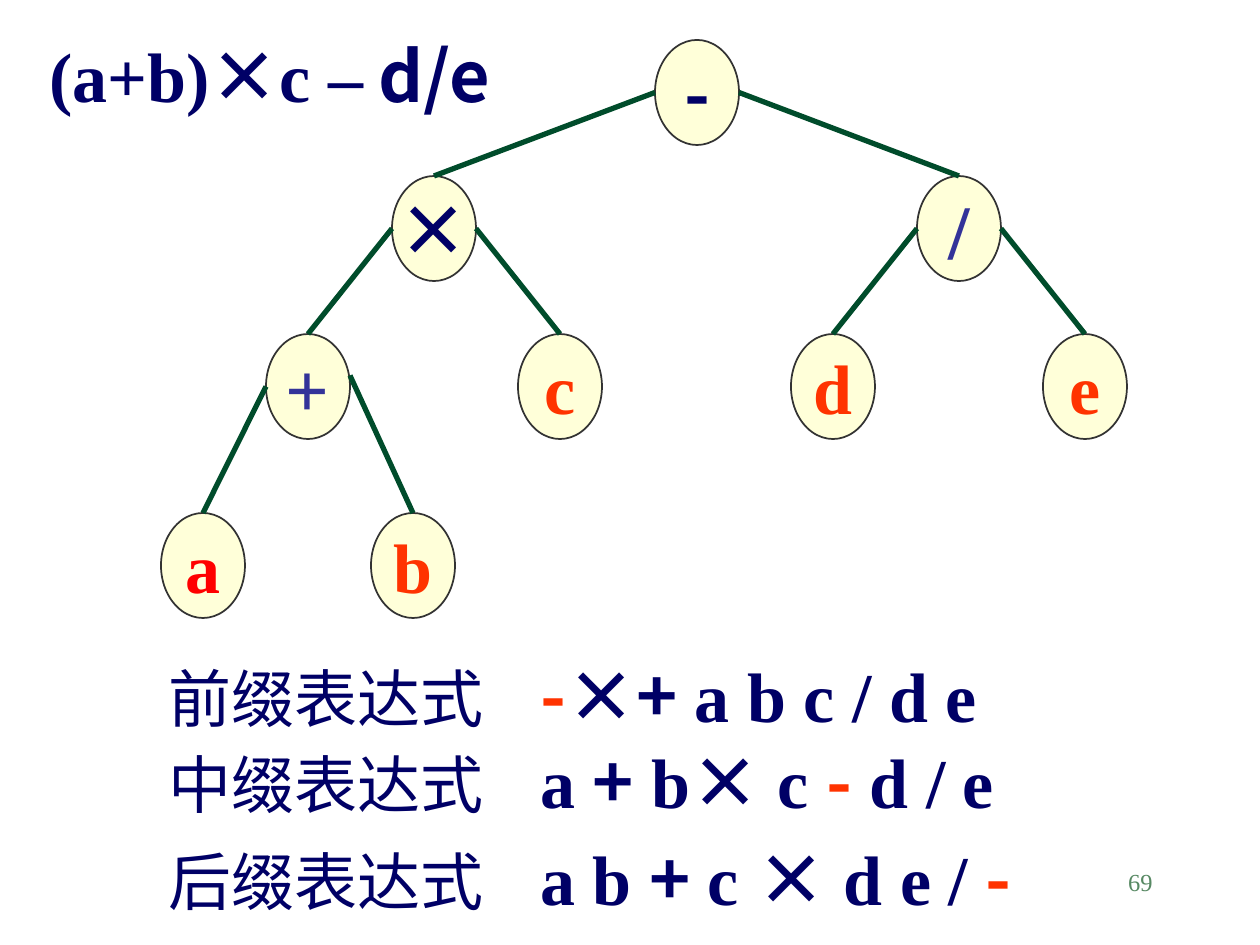
from lxml import etree
from pptx import Presentation
from pptx.dml.color import RGBColor
from pptx.enum.shapes import MSO_CONNECTOR, MSO_SHAPE
from pptx.enum.text import MSO_ANCHOR, MSO_AUTO_SIZE, PP_ALIGN
from pptx.oxml.ns import qn
from pptx.util import Pt

PX = 914400 // 126
OVAL = MSO_SHAPE.OVAL
STRAIGHT = MSO_CONNECTOR.STRAIGHT
MIDDLE = MSO_ANCHOR.MIDDLE
LEFT, CENTER, RIGHT = PP_ALIGN.LEFT, PP_ALIGN.CENTER, PP_ALIGN.RIGHT
FIT = MSO_AUTO_SIZE.SHAPE_TO_FIT_TEXT

SERIF, SANS = "Times New Roman", "Noto Sans CJK SC"
COLORS = {"navy": "000066", "indigo": "333399", "orange": "FF3300", "red": "FF0000",
          "cream": "FFFFD9", "outline": "333333", "branch": "004C2B", "number": "578963"}

# Text styles: font, size, bold, colour
STYLES = {
    "label": (SERIF, 36, False, "navy"),
    "serif": (SERIF, 40, True, "navy"),
    "sans": (SANS, 40, True, "navy"),
    "minus": (SANS, 40, True, "orange"),
    "leaf": (SERIF, 40, True, "orange"),
    "first leaf": (SERIF, 40, True, "red"),
    "operator": (SERIF, 44, True, "indigo"),
    "number": (SERIF, 14, False, "number"),
}

# Tree nodes: symbol -> left, top, style
NODE_WIDTH, NODE_HEIGHT = 84, 105
NODES = {
    "a": (161, 513, "first leaf"), "b": (371, 513, "leaf"),
    "c": (518, 334, "leaf"), "d": (791, 334, "leaf"), "e": (1043, 334, "leaf"),
    "-": (655, 40, "sans"), "×": (392, 176, "sans"),
    "+": (266, 334, "operator"), "/": (917, 176, "operator"),
}
# Parent -> left child, right child
CHILDREN = {"-": "×/", "×": "+c", "+": "ab", "/": "de"}
BRANCH_LIFT = {"b": 11}

FORMULA = [("(a+b)", "serif"), ("×", "sans"), ("c –", "serif"), (" d/e", "sans")]

# Notations: label, top, width, expression
LABEL_TAB = 372
NOTATIONS = [
    ("前缀表达式", 630, 843,
     [("-", "minus"), ("×+", "sans"), (" a b c / d e", "serif")]),
    ("中缀表达式", 716, 861,
     [("a ", "serif"), ("+", "sans"), (" b", "serif"), ("×", "sans"),
      (" c ", "serif"), ("-", "minus"), (" d / e", "serif")]),
    ("后缀表达式", 813, 878,
     [("a b ", "serif"), ("+", "sans"), (" c ", "serif"), ("×", "sans"),
      (" d e / ", "serif"), ("-", "minus")]),
]


def color(name):
    return RGBColor.from_string(COLORS[name])


def write(para, spans, align=LEFT):
    para.alignment = align
    for text, style in spans:
        name, size, bold, ink = STYLES[style]
        span = para.add_run()
        span.text = text
        for key, value in {"name": name, "size": Pt(size), "bold": bold}.items():
            setattr(span.font, key, value)
        span.font.color.rgb = color(ink)
        etree.SubElement(span.font._element, qn("a:ea"), typeface=SANS)


def add_text(slide, bounds, spans, align=LEFT):
    box = slide.shapes.add_textbox(*(v * PX for v in bounds))
    box.text_frame.word_wrap = True
    para = box.text_frame.paragraphs[0]
    write(para, spans, align)
    return box, para


def add_node(slide, symbol, left, top, style):
    node = slide.shapes.add_shape(OVAL, left * PX, top * PX, NODE_WIDTH * PX, NODE_HEIGHT * PX)
    node.shadow.inherit = False
    node.fill.solid()
    node.fill.fore_color.rgb = color("cream")
    node.line.color.rgb = color("outline")
    node.line.width = Pt(1)
    node.text_frame.word_wrap = False
    node.text_frame.vertical_anchor = MIDDLE
    write(node.text_frame.paragraphs[0], [(symbol, style)], CENTER)
    return node


def add_branch(slide, parent, child, side, lift):
    start_x = parent.left + side * parent.width
    start_y = parent.top + parent.height // 2 - lift * PX
    branch = slide.shapes.add_connector(STRAIGHT, start_x, start_y,
                                        child.left + child.width // 2, child.top)
    branch.end_connect(child, 0)
    branch.line.color.rgb = color("branch")
    branch.line.width = Pt(3)
    etree.SubElement(branch._element.spPr, qn("a:effectLst"))


def main():
    deck = Presentation()
    deck.slide_width, deck.slide_height = 1260 * PX, 945 * PX
    slide = deck.slides.add_slide(deck.slide_layouts[6])

    # Page number
    add_text(slide, (903, 861, 262, 63), [("69", "number")], RIGHT)

    # Expression tree
    nodes = {symbol: add_node(slide, symbol, *place) for symbol, place in NODES.items()}
    for parent, pair in CHILDREN.items():
        for side, child in enumerate(pair):
            add_branch(slide, nodes[parent], nodes[child], side, BRANCH_LIFT.get(child, 0))

    # Formula
    box, para = add_text(slide, (37, 26, 541, 97), FORMULA)
    box.text_frame.auto_size = FIT

    # Prefix, infix and postfix forms
    for label, top, width, expression in NOTATIONS:
        box, para = add_text(slide, (156, top, width, 113),
                             [(label + "\t", "label")] + expression)
        box.text_frame.auto_size = FIT
        tabs = etree.SubElement(para._p.get_or_add_pPr(), qn("a:tabLst"))
        etree.SubElement(tabs, qn("a:tab"), pos=str(LABEL_TAB * PX), algn="l")
        para.line_spacing = 1.2

    deck.save("out.pptx")


if __name__ == "__main__":
    main()
